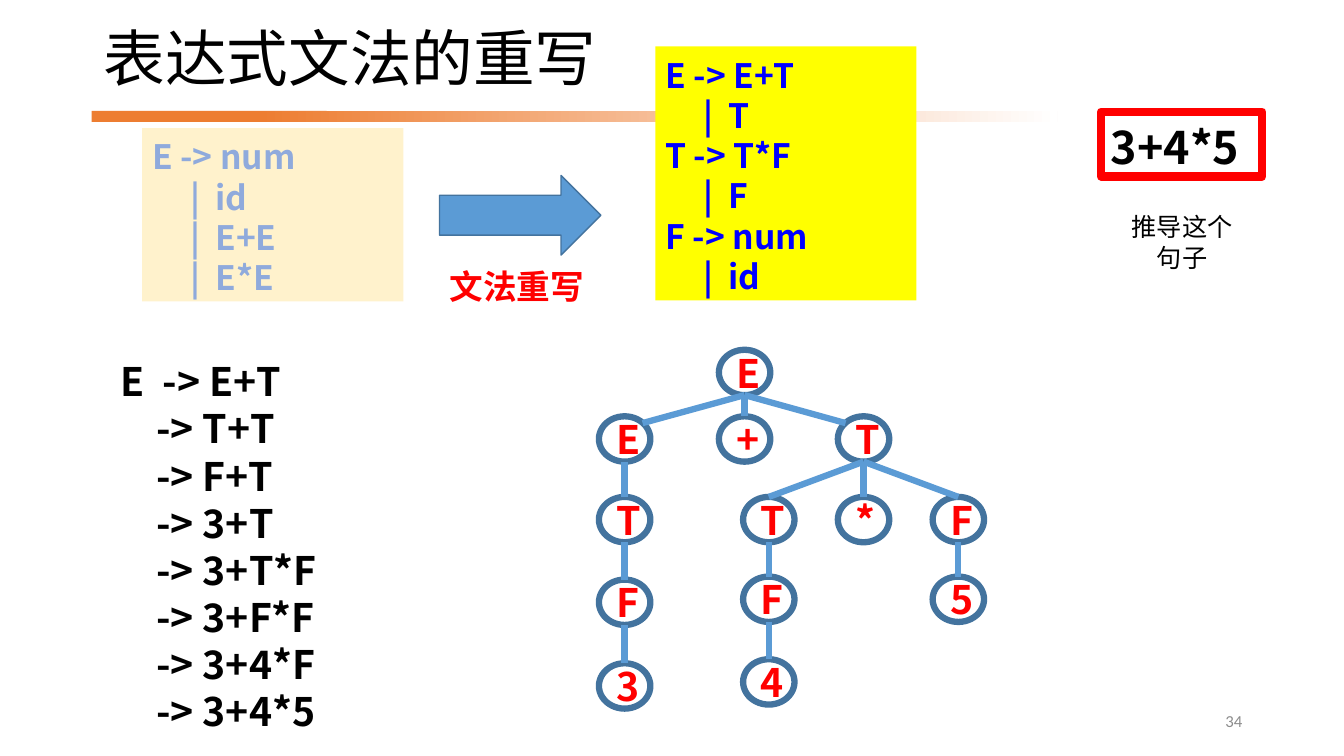
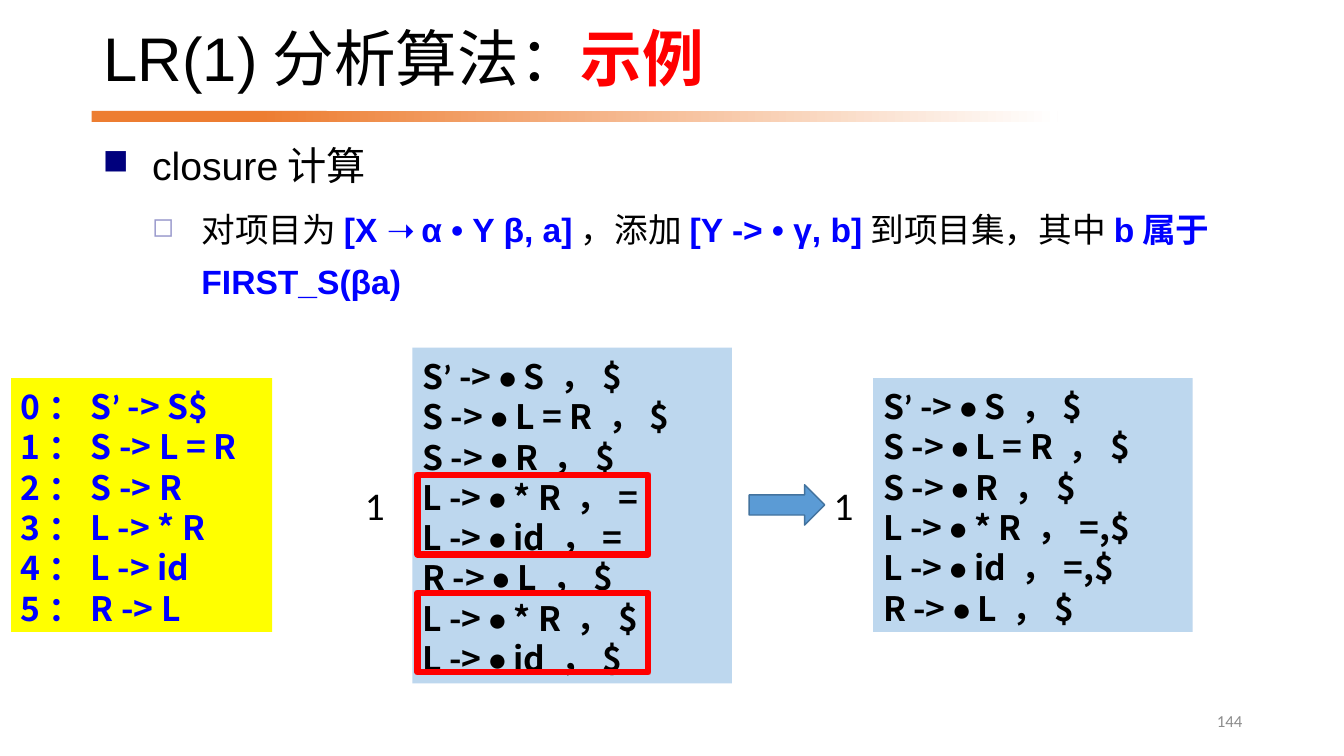
from dataclasses import dataclass, replace
from typing import NamedTuple

from pptx import Presentation
from pptx.dml.color import RGBColor
from pptx.enum.shapes import MSO_CONNECTOR, MSO_SHAPE
from pptx.enum.text import MSO_ANCHOR, PP_ALIGN
from pptx.oxml.ns import qn
from pptx.util import Inches, Pt

RECT, ELLIPSE, ARROW = MSO_SHAPE.RECTANGLE, MSO_SHAPE.OVAL, MSO_SHAPE.RIGHT_ARROW
STRAIGHT = MSO_CONNECTOR.STRAIGHT
TOP, MIDDLE = MSO_ANCHOR.TOP, MSO_ANCHOR.MIDDLE
LEFT, CENTER, RIGHT = PP_ALIGN.LEFT, PP_ALIGN.CENTER, PP_ALIGN.RIGHT


@dataclass(frozen=True)
class Theme:
    black: str = "000000"
    white: str = "FFFFFF"
    orange: str = "ED7D31"
    red: str = "FF0000"
    blue: str = "0000FF"
    yellow: str = "FFFF00"
    cream: str = "FFF2CC"
    faded_blue: str = "8FAADC"
    pale_blue: str = "BDD7EE"
    arrow_blue: str = "5B9BD5"
    edge_blue: str = "43739E"
    grey: str = "8C8C8C"
    bullet_navy: str = "00007D"
    bullet_lilac: str = "9999CC"
    sans: str = "Arial"
    number: str = "Calibri"
    cjk: str = "Noto Sans CJK SC"
    title_size: int = 44
    formula_size: int = 32
    large_size: int = 28
    text_size: int = 24
    note_size: int = 18
    page_size: int = 12
    heavy_line: float = 4.5
    code_leading: float = 1.2


T = Theme()


class Box(NamedTuple):
    x: float
    y: float
    w: float
    h: float


class Style(NamedTuple):
    size: int
    color: str = T.black
    font: str = T.cjk
    bold: bool = False


class Run(NamedTuple):
    text: str
    style: Style


class Bullet(NamedTuple):
    char: str
    color: str
    percent: int
    indent: float


@dataclass(frozen=True)
class Node:
    """A tree node; anchor is where its parent's edge ends, as shares of its size."""
    symbol: str
    x: float
    y: float
    children: tuple["Node", ...] = ()
    anchor: tuple[float, float] = (0.5, 0)


NODE_W, NODE_H = 0.51, 0.45
UPPER_LEFT, UPPER_RIGHT = (0.15, 0.15), (0.85, 0.15)

TITLE = Style(T.title_size, font=T.sans)
CODE = Style(T.text_size, bold=True)
BLUE_CODE = CODE._replace(color=T.blue)
RED_CODE = CODE._replace(color=T.red)
NODE_TEXT = Style(T.large_size, T.red, bold=True)
BODY = Style(T.text_size, font=T.sans)
BODY_KEY = BODY._replace(color=T.blue, bold=True)


def emu(box: Box) -> list[int]:
    return [Inches(v) for v in box]


def rgb(color: str) -> RGBColor:
    return RGBColor.from_string(color)


def add_box(s, box: Box, fill: str | None = None, line: str | None = None,
            width: float = 1, geometry=RECT):
    sp = s.shapes.add_shape(geometry, *emu(box))
    sp.shadow.inherit = False
    if fill:
        sp.fill.solid()
        sp.fill.fore_color.rgb = rgb(fill)
    else:
        sp.fill.background()
    if line:
        sp.line.color.rgb = rgb(line)
        sp.line.width = Pt(width)
    else:
        sp.line.fill.background()
    return sp


def add_textbox(s, box: Box):
    return s.shapes.add_textbox(*emu(box))


def format_run(r, style: Style) -> None:
    r.font.size = Pt(style.size)
    r.font.name = style.font
    r.font.bold = style.bold
    r.font.color.rgb = rgb(style.color)
    ea = r.font._element.makeelement(qn("a:ea"), {"typeface": T.cjk})
    r.font._element.find(qn("a:latin")).addnext(ea)


def add_runs(p, runs: list[Run]) -> None:
    for run in runs:
        r = p.add_run()
        r.text = run.text
        format_run(r, run.style)


def write(sp, lines: list[list[Run]], align=LEFT, anchor=TOP, leading=None) -> None:
    """Fill a shape with paragraphs; leading is a share or a fixed length."""
    tf = sp.text_frame
    tf.word_wrap = True
    tf.vertical_anchor = anchor
    for i, runs in enumerate(lines):
        p = tf.add_paragraph() if i else tf.paragraphs[0]
        p.alignment = align
        p.line_spacing = leading
        add_runs(p, runs)


def code_runs(line: str, style: Style) -> list[Run]:
    """Set the dot and the prime of grammar items in the number font."""
    marks = ("• ", "’ ")
    for mark in marks:
        line = line.replace(mark, f"\t{mark}\t")
    marked = style._replace(font=T.number)
    return [Run(t, marked if t in marks else style) for t in line.split("\t") if t]


def write_code(sp, text: str, style: Style, align=LEFT, indent: float = 0) -> None:
    write(sp, [code_runs(line, style) for line in text.split("\n")], align,
          leading=Pt(T.code_leading * style.size))
    sp.text_frame.margin_top = Inches(0.08)
    for p in sp.text_frame.paragraphs:
        if indent:
            p._p.get_or_add_pPr().set("marL", str(Inches(indent)))


def set_bullet(p, bullet: Bullet) -> None:
    pPr = p._p.get_or_add_pPr()
    pPr.set("marL", str(Inches(bullet.indent)))
    pPr.set("indent", str(-Inches(0.49)))
    color = pPr.makeelement(qn("a:buClr"), {})
    color.append(color.makeelement(qn("a:srgbClr"), {"val": bullet.color}))
    pPr.append(color)
    pPr.append(pPr.makeelement(qn("a:buSzPct"), {"val": str(bullet.percent * 1000)}))
    pPr.append(pPr.makeelement(qn("a:buChar"), {"char": bullet.char}))


def add_edge(s, start: tuple[float, float], end: tuple[float, float]) -> None:
    line = s.shapes.add_connector(STRAIGHT, *(Inches(v) for v in start + end))
    line.line.color.rgb = rgb(T.arrow_blue)
    line.line.width = Pt(T.heavy_line)
    spPr = line._element.spPr
    spPr.append(spPr.makeelement(qn("a:effectLst"), {}))


def draw_tree(s, node: Node) -> None:
    sp = add_box(s, Box(node.x, node.y, NODE_W, NODE_H), T.white, T.edge_blue,
                 T.heavy_line, ELLIPSE)
    write(sp, [[Run(node.symbol, NODE_TEXT)]], CENTER, MIDDLE)
    for child in node.children:
        draw_tree(s, child)
        ax, ay = child.anchor
        add_edge(s, (node.x + NODE_W / 2, node.y + NODE_H),
                 (child.x + ax * NODE_W, child.y + ay * NODE_H))


def add_arrow(s, box: Box) -> None:
    add_box(s, box, T.arrow_blue, T.edge_blue, geometry=ARROW)


def new_slide(prs, title: list[Run], page: int):
    """Add a blank slide with the shared band, title and page number."""
    s = prs.slides.add_slide(prs.slide_layouts[6])
    add_box(s, Box(0.91, 1.1, 2.33, 0.11), T.orange)
    fade = add_box(s, Box(2.57, 1.1, 7.92, 0.11), T.orange)
    fade.fill.gradient()
    fade.fill.gradient_angle = 0
    for stop, color, position in zip(fade.fill.gradient_stops, (T.orange, T.white), (0, 1)):
        stop.color.rgb = rgb(color)
        stop.position = position
    write(add_textbox(s, Box(0.93, 0.17, 11.14, 0.89)), [title], anchor=MIDDLE, leading=0.9)
    number = Run(str(page), Style(T.page_size, T.grey, T.number))
    write(add_textbox(s, Box(9.42, 6.95, 3, 0.4)), [[number]], RIGHT, MIDDLE)
    return s


def expression_tree() -> Node:
    left, mid, right = 5.94, 7.37, 9.25
    plus, times = 7.13, 8.31
    rows = (3.47, 4.13, 4.93, 5.72, 6.54)
    number = Node("F", left, 5.75, (Node("3", left, 6.58),))
    addend = Node("E", left, rows[1], (Node("T", left, rows[2], (number,)),), UPPER_RIGHT)
    factor = Node("F", mid, rows[3], (Node("4", mid, rows[4]),))
    product = Node("T", times, rows[1], (
        Node("T", mid, rows[2], (factor,)),
        Node("*", times, rows[2]),
        Node("F", right, rows[2], (Node("5", right, rows[3]),)),
    ))
    return Node("E", plus, rows[0],
                (addend, Node("+", plus, rows[1]), replace(product, anchor=UPPER_LEFT)))


def rewrite_slide(prs) -> None:
    s = new_slide(prs, [Run("表达式文法的重写", TITLE)], 34)
    write_code(add_box(s, Box(1.41, 1.27, 2.59, 1.72), T.cream),
               "E -> num\n     |  id\n     |  E+E\n     |  E*E",
               CODE._replace(color=T.faded_blue))
    write_code(add_box(s, Box(6.5, 0.46, 2.59, 2.52), T.yellow),
               "E -> E+T\n     |  T\nT -> T*F\n     |  F\nF -> num\n     |  id", BLUE_CODE)
    add_arrow(s, Box(4.36, 1.74, 1.6, 0.79))
    write_code(add_textbox(s, Box(4.36, 2.56, 1.6, 0.5)), "文法重写", RED_CODE)
    write_code(add_box(s, Box(10.92, 1.11, 1.6, 0.64), line=T.red, width=6),
               "3+4*5", Style(T.formula_size, bold=True))
    write_code(add_textbox(s, Box(11.06, 2.02, 1.33, 0.71)), "推导这个句子",
               Style(T.note_size), CENTER)
    steps = ("T+T", "F+T", "3+T", "3+T*F", "3+F*F", "3+4*F", "3+4*5")
    derivation = "\n".join(["E  -> E+T", *(f"    -> {step}" for step in steps)])
    write_code(add_textbox(s, Box(0.6, 3.47, 2.96, 3.87)), derivation,
               Style(T.large_size, bold=True), indent=0.5)
    draw_tree(s, expression_tree())


def closure_slide(prs) -> None:
    s = new_slide(prs, [Run("LR(1)分析算法：", TITLE),
                        Run("示例", TITLE._replace(color=T.red, bold=True))], 144)
    body = add_textbox(s, Box(0.92, 1.41, 11.5, 5.37))
    write(body, [
        [Run("closure计算", BODY._replace(size=T.large_size))],
        [Run("对项目为", BODY), Run("[X ➝ α • Y β, a]", BODY_KEY), Run("，添加", BODY),
         Run("[Y -> • γ, b]", BODY_KEY), Run("到项目集，其中", BODY),
         Run("b属于FIRST_S(βa)", BODY_KEY)],
    ])
    head, detail = body.text_frame.paragraphs
    head.line_spacing, detail.line_spacing = 0.9, 1.3
    detail.space_before = Pt(5)
    set_bullet(head, Bullet("■", T.bullet_navy, 90, 0.49))
    set_bullet(detail, Bullet("◻", T.bullet_lilac, 80, 0.98))

    write_code(add_box(s, Box(0.11, 3.75, 2.59, 2.52), T.yellow),
               "0：S’ -> S$\n1：S -> L = R\n2：S -> R\n3：L -> * R\n4：L -> id\n5：R -> L",
               BLUE_CODE)
    start = "S’ -> • S ，$\nS -> • L = R ，$\nS -> • R ，$\n"
    reduce_item = "R -> • L ，$"
    star, ident = "L -> • * R ，", "L -> • id ，"
    separate = f"{start}{star}=\n{ident}=\n{reduce_item}\n{star}$\n{ident}$"
    merged = f"{start}{star}=,$\n{ident}=,$\n{reduce_item}"
    for box, items, label_x in ((Box(4.09, 3.45, 3.17, 3.33), separate, 3.52),
                                (Box(8.66, 3.75, 3.17, 2.52), merged, 8.17)):
        write_code(add_box(s, box, T.pale_blue), items, CODE)
        write(add_textbox(s, Box(label_x, 4.73, 0.57, 0.57)),
              [[Run("1", Style(T.large_size, font=T.number))]])
    add_arrow(s, Box(7.43, 4.81, 0.75, 0.4))
    for y in (4.71, 5.88):
        add_box(s, Box(4.14, y, 2.29, 0.79), line=T.red, width=T.heavy_line)


def main() -> None:
    prs = Presentation()
    prs.slide_width, prs.slide_height = Inches(13.33), Inches(7.5)
    rewrite_slide(prs)
    closure_slide(prs)
    prs.save("out.pptx")


if __name__ == "__main__":
    main()
